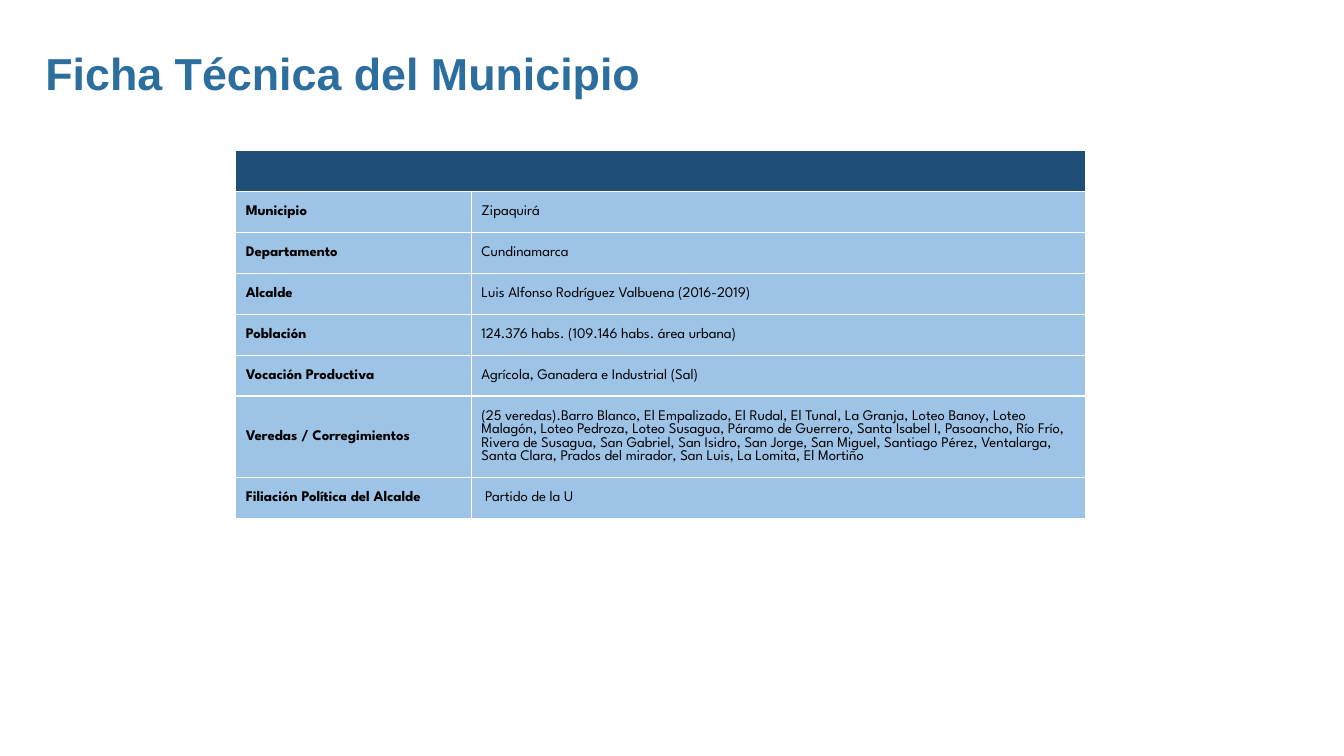
from lxml.etree import SubElement
from pptx import Presentation
from pptx.dml.color import RGBColor
from pptx.enum.text import MSO_ANCHOR, MSO_AUTO_SIZE, PP_ALIGN
from pptx.oxml.ns import qn
from pptx.util import Cm, Pt

COLORS = {
    "title": "2C6F9E",
    "header": "1F4E79",
    "row": "9DC3E6",
    "text": "000000",
    "border": "FFFFFF",
}
TITLE_FONT = {"name": "Arial", "size": Pt(32), "bold": True}
LABEL_FONT = {"name": "League Spartan", "size": Pt(10.5), "bold": True}
VALUE_FONT = {**LABEL_FONT, "bold": False}
ROW_HEIGHT = 1.03
VEREDAS = "Veredas / Corregimientos"
FACTS = [
    ("Municipio", "Zipaquirá"),
    ("Departamento", "Cundinamarca"),
    ("Alcalde", "Luis Alfonso Rodríguez Valbuena (2016-2019)"),
    ("Población", "124.376 habs. (109.146 habs. área urbana)"),
    ("Vocación Productiva", "Agrícola, Ganadera e Industrial (Sal)"),
    (
        VEREDAS,
        "(25 veredas).Barro Blanco, El Empalizado, El Rudal, El Tunal, "
        "La Granja, Loteo Banoy, Loteo Malagón, Loteo Pedroza, Loteo Susagua, "
        "Páramo de Guerrero, Santa Isabel I, Pasoancho, Río Frío, "
        "Rivera de Susagua, San Gabriel, San Isidro, San Jorge, San Miguel, "
        "Santiago Pérez, Ventalarga, Santa Clara, Prados del mirador, "
        "San Luis, La Lomita, El Mortiño",
    ),
    ("Filiación Política del Alcalde", " Partido de la U"),
]


def set_all(target, values):
    for key, value in values.items():
        setattr(target, key, value)


def write(frame, text, font, color):
    paragraph = frame.paragraphs[0]
    paragraph.alignment = PP_ALIGN.LEFT
    run = paragraph.add_run()
    run.text = text
    set_all(run.font, font)
    run.font.color.rgb = RGBColor.from_string(COLORS[color])


def add_title(slide, text):
    title = slide.shapes.title
    set_all(title, {"left": Cm(0.89), "top": Cm(1.02),
                    "width": Cm(16.03), "height": Cm(1.63)})
    set_all(title.text_frame, {"word_wrap": False,
                               "auto_size": MSO_AUTO_SIZE.NONE,
                               "vertical_anchor": MSO_ANCHOR.MIDDLE})
    write(title.text_frame, text, TITLE_FONT, "title")


def style_cell(cell, color):
    properties = cell._tc.get_or_add_tcPr()
    for side in ("lnL", "lnR", "lnT", "lnB"):
        line = SubElement(properties, qn(f"a:{side}"), w=str(Pt(1)))
        fill = SubElement(line, qn("a:solidFill"))
        SubElement(fill, qn("a:srgbClr"), val=COLORS["border"])
    cell.fill.solid()
    cell.fill.fore_color.rgb = RGBColor.from_string(COLORS[color])
    cell.vertical_anchor = MSO_ANCHOR.MIDDLE


def add_fact_table(slide, facts):
    heights = [ROW_HEIGHT] + [
        ROW_HEIGHT * (2 if label == VEREDAS else 1) for label, _ in facts
    ]
    table = slide.shapes.add_table(
        len(heights), 2, Cm(5.94), Cm(3.8), Cm(21.43), Cm(sum(heights))
    ).table
    for column, width in zip(table.columns, (5.94, 15.49)):
        column.width = Cm(width)
    for row, height in zip(table.rows, heights):
        row.height = Cm(height)
    for header in table.rows[0].cells:
        style_cell(header, "header")
    table.cell(0, 0).merge(table.cell(0, 1))
    for index, fact in enumerate(facts, start=1):
        for cell, text, font in zip(table.rows[index].cells, fact,
                                    (LABEL_FONT, VALUE_FONT)):
            style_cell(cell, "row")
            write(cell.text_frame, text, font, "text")


def main():
    deck = Presentation()
    set_all(deck, {"slide_width": Cm(33.87), "slide_height": Cm(19.05)})
    slide = deck.slides.add_slide(deck.slide_layouts[5])
    add_title(slide, "Ficha Técnica del Municipio")
    add_fact_table(slide, FACTS)
    deck.save("out.pptx")


main()
